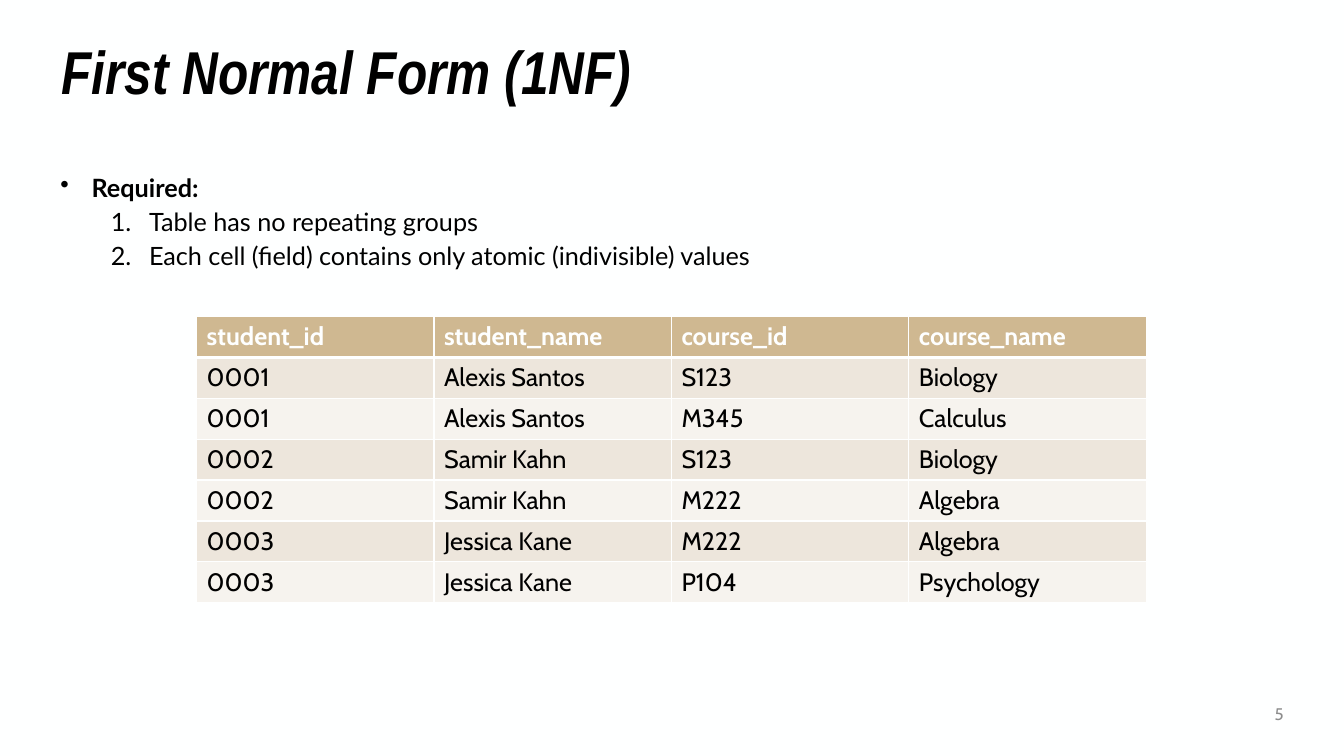
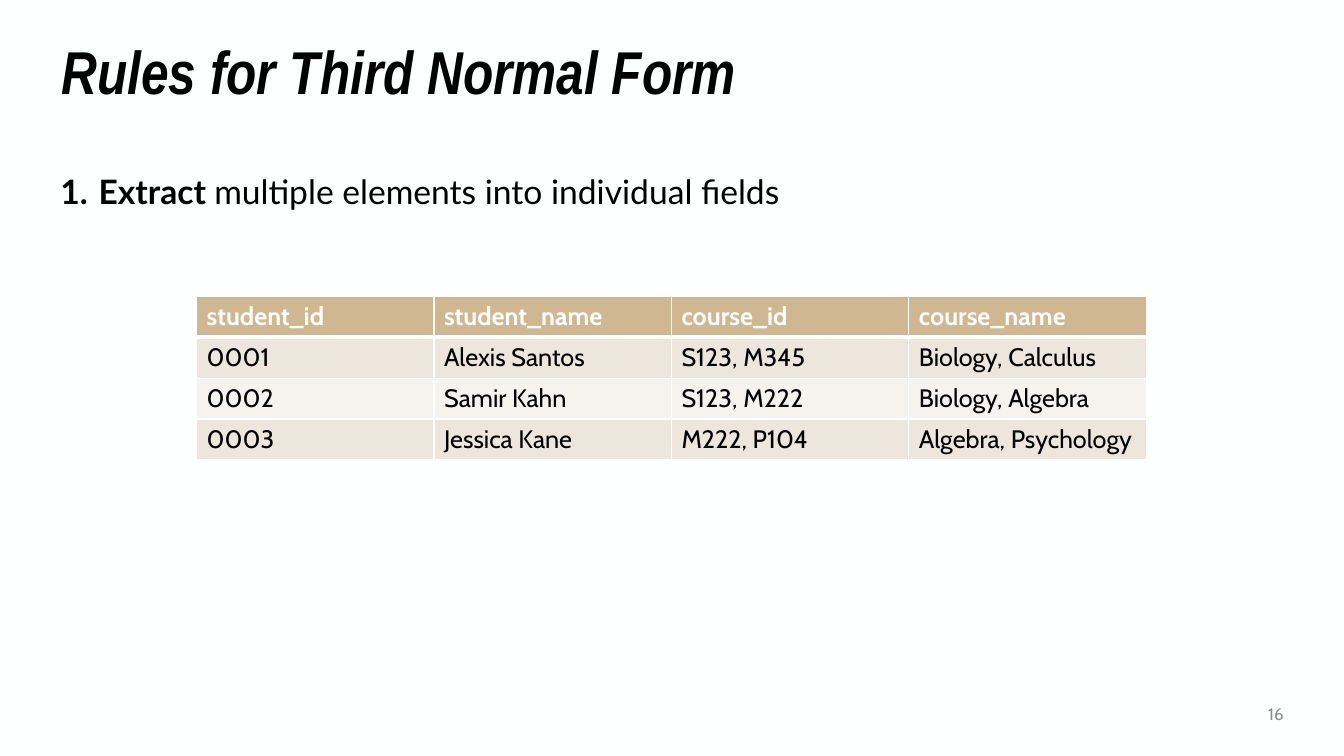
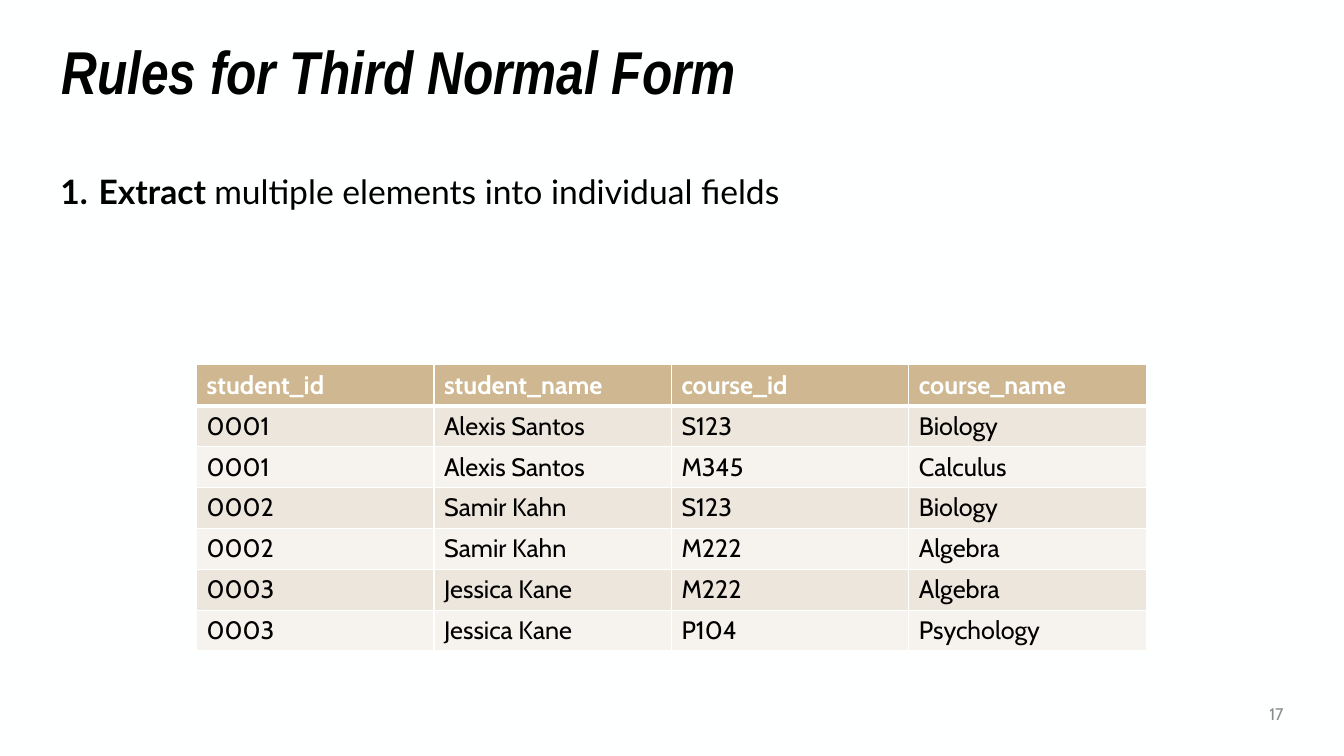
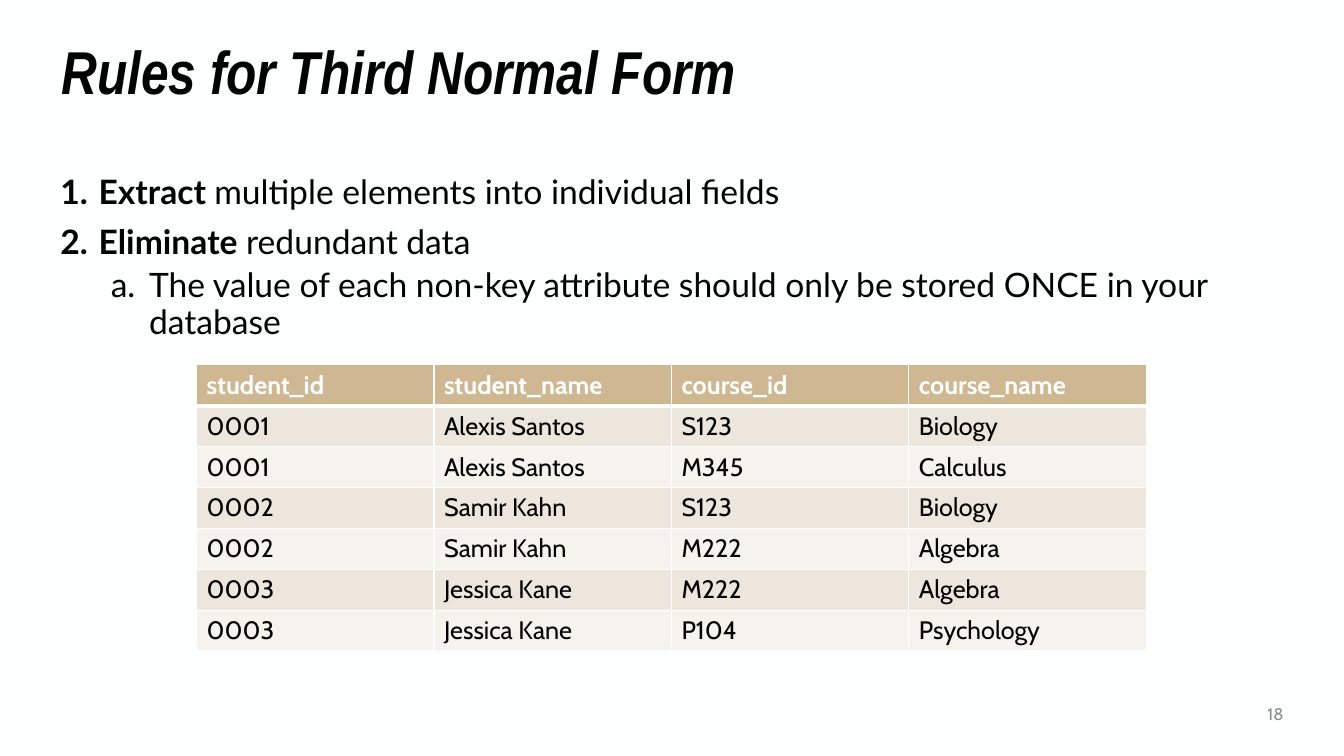
from lxml import etree
from pptx import Presentation
from pptx import util as u
from pptx.dml.color import RGBColor
from pptx.enum import text
from pptx.oxml.ns import qn

PX = 9144  # 100 px to the inch
COLORS = {"paper": "FEFFFF", "ink": "000000", "muted": "8C8C8C",
          "header": "CFB891", "band_dark": "EDE6DC", "band_light": "F6F3EE"}
TITLE_FONT, BODY_FONT, TABLE_FONT = "Arial Narrow", "Lato", "Cabin"

# Boxes as left, top, width, height in px
TITLE_BOX = (51, 42, 1232, 64)
BODY_BOX = (50, 169, 1232, 487)
NUMBER_BOX = (1163, 688, 120, 40)
TABLE_LEFT, TABLE_WIDTH = 195, 942
ROW_HEIGHT = 284 * PX // 7

# Paragraph kinds: level, left margin px, hanging px, space before pt, bullet tag, bullet attributes
KINDS = {
    "bullet": (0, 31, 31, 10, "a:buChar", {"char": "•"}),
    "rule": (0, 38, 38, 10, "a:buAutoNum", {"type": "arabicPeriod"}),
    "sub_number": (1, 88, 38, 5, "a:buAutoNum", {"type": "arabicPeriod"}),
    "sub_letter": (1, 88, 38, 5, "a:buAutoNum", {"type": "alphaLcPeriod"}),
}

HEADER = ("student_id", "student_name", "course_id", "course_name")
GROUPED = [
    HEADER,
    ("0001", "Alexis Santos", "S123, M345", "Biology, Calculus"),
    ("0002", "Samir Kahn", "S123, M222", "Biology, Algebra"),
    ("0003", "Jessica Kane", "M222, P104", "Algebra, Psychology"),
]
ATOMIC = [
    HEADER,
    ("0001", "Alexis Santos", "S123", "Biology"),
    ("0001", "Alexis Santos", "M345", "Calculus"),
    ("0002", "Samir Kahn", "S123", "Biology"),
    ("0002", "Samir Kahn", "M222", "Algebra"),
    ("0003", "Jessica Kane", "M222", "Algebra"),
    ("0003", "Jessica Kane", "P104", "Psychology"),
]

# Paragraphs as kind, bold lead, plain rest
REQUIRED = [
    ("bullet", "Required:", ""),
    ("sub_number", "", "Table has no repeating groups"),
    ("sub_number", "", "Each cell (field) contains only atomic (indivisible) values"),
]
EXTRACT = [("rule", "Extract ", "multiple elements into individual fields")]
ELIMINATE = [
    ("rule", "Eliminate", " redundant data"),
    ("sub_letter", "", "The value of each non-key attribute should only be stored ONCE in your database"),
]
THIRD = "Rules for Third Normal Form"
SLIDES = [
    dict(title="First Normal Form (1NF)", number=5, body=REQUIRED, size=18, rows=ATOMIC, top=314),
    dict(title=THIRD, number=16, body=EXTRACT, size=24, rows=GROUPED, top=294),
    dict(title=THIRD, number=17, body=EXTRACT, size=24, rows=ATOMIC, top=362),
    dict(title=THIRD, number=18, body=EXTRACT + ELIMINATE, size=24, rows=ATOMIC, top=362),
]


def rgb(name):
    return RGBColor.from_string(COLORS[name])


def add_run(p, words, font, size, color="ink", bold=False, italic=False):
    r = p.add_run()
    r.text = words
    f = r.font
    f.name, f.size, f.bold, f.italic = font, u.Pt(size), bold, italic
    f.color.rgb = rgb(color)


def add_box(s, box, anchor=text.MSO_ANCHOR.MIDDLE):
    tf = s.shapes.add_textbox(*(v * PX for v in box)).text_frame
    tf.word_wrap = True
    tf.vertical_anchor = anchor
    return tf


def add_body(s, paragraphs, size):
    tf = add_box(s, BODY_BOX, text.MSO_ANCHOR.TOP)
    for i, (kind, lead, rest) in enumerate(paragraphs):
        level, margin, hanging, before, tag, attributes = KINDS[kind]
        p = tf.add_paragraph() if i else tf.paragraphs[0]
        p.level = level
        p.line_spacing = 0.9
        p.space_before = u.Pt(before if i else 0)
        pPr = p._p.get_or_add_pPr()
        pPr.set("marL", str(margin * PX))
        pPr.set("indent", str(-hanging * PX))
        etree.SubElement(pPr, qn(tag), attributes)
        for words, bold in ((lead, True), (rest, False)):
            if words:
                add_run(p, words, BODY_FONT, size, bold=bold)


def set_borders(cell, widths):
    """Draw the left, right, top and bottom borders, with widths in points."""
    tcPr = cell._tc.get_or_add_tcPr()
    for i, (side, width) in enumerate(zip("LRTB", widths)):
        ln = etree.Element(qn(f"a:ln{side}"), {"w": str(u.Pt(width))})
        fill = etree.SubElement(ln, qn("a:solidFill"))
        etree.SubElement(fill, qn("a:srgbClr"), {"val": COLORS["paper"]})
        tcPr.insert(i, ln)


def add_data_table(s, rows, top):
    columns = len(rows[0])
    table = s.shapes.add_table(len(rows), columns, TABLE_LEFT * PX, top * PX,
                               TABLE_WIDTH * PX, ROW_HEIGHT * len(rows)).table
    table.horz_banding = False
    for column in table.columns:
        column.width = TABLE_WIDTH * PX // columns
    for i, values in enumerate(rows):
        table.rows[i].height = ROW_HEIGHT
        header = i == 0
        band = "header" if header else "band_dark" if i % 2 else "band_light"
        for j, value in enumerate(values):
            cell = table.cell(i, j)
            cell.fill.solid()
            cell.fill.fore_color.rgb = rgb(band)
            set_borders(cell, (1, 1, 3 if i == 1 else 1, 3 if header else 1))
            add_run(cell.text_frame.paragraphs[0], value, TABLE_FONT, 18,
                    "paper" if header else "ink", bold=header)


def add_title(s, title):
    p = add_box(s, TITLE_BOX).paragraphs[0]
    p.line_spacing = 0.9
    add_run(p, title, TITLE_FONT, 43.2, bold=True, italic=True)


def add_number(s, number):
    p = add_box(s, NUMBER_BOX).paragraphs[0]
    p.alignment = text.PP_ALIGN.RIGHT
    add_run(p, str(number), TABLE_FONT, 12, "muted")


def main():
    prs = Presentation()
    prs.slide_width, prs.slide_height = 1333 * PX, 750 * PX
    background = prs.slide_master.background.fill
    background.solid()
    background.fore_color.rgb = rgb("paper")
    for content in SLIDES:
        s = prs.slides.add_slide(prs.slide_layouts[6])
        add_body(s, content["body"], content["size"])
        add_title(s, content["title"])
        add_number(s, content["number"])
        add_data_table(s, content["rows"], content["top"])
    prs.save("out.pptx")


if __name__ == "__main__":
    main()
